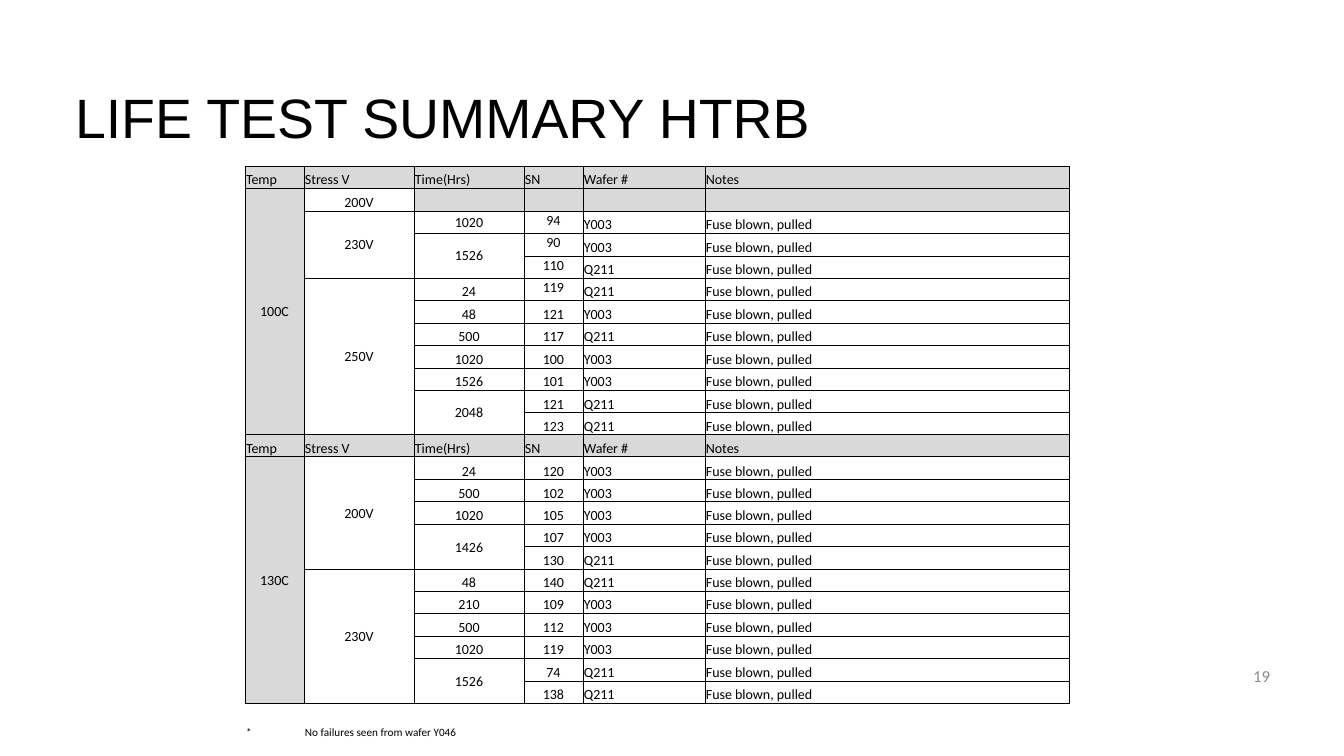
from lxml.etree import SubElement
from pptx import Presentation
from pptx.dml.color import RGBColor
from pptx.enum.text import MSO_ANCHOR as ANCHOR, PP_ALIGN as ALIGN
from pptx.oxml.ns import qn
from pptx.util import Inches, Pt

TITLE = "LIFE TEST SUMMARY HTRB"
PAGE = "19"
HEADINGS = ["Temp", "Stress V", "Time(Hrs)", "SN", "Wafer #", "Notes"]
NOTE = "Fuse blown, pulled"
FOOTNOTE = ("*", "No failures seen from wafer Y046")
TESTS = [
    ("100C", [
        ("200V", [("", [("", "")])]),
        ("230V", [("1020", [("94", "Y003")]),
                  ("1526", [("90", "Y003"), ("110", "Q211")])]),
        ("250V", [("24", [("119", "Q211")]),
                  ("48", [("121", "Y003")]),
                  ("500", [("117", "Q211")]),
                  ("1020", [("100", "Y003")]),
                  ("1526", [("101", "Y003")]),
                  ("2048", [("121", "Q211"), ("123", "Q211")])]),
    ]),
    ("130C", [
        ("200V", [("24", [("120", "Y003")]),
                  ("500", [("102", "Y003")]),
                  ("1020", [("105", "Y003")]),
                  ("1426", [("107", "Y003"), ("130", "Q211")])]),
        ("230V", [("48", [("140", "Q211")]),
                  ("210", [("109", "Y003")]),
                  ("500", [("112", "Y003")]),
                  ("1020", [("119", "Y003")]),
                  ("1526", [("74", "Q211"), ("138", "Q211")])]),
    ]),
]
ANCHORS = {(2, 2): ANCHOR.MIDDLE, (2, 3): ANCHOR.TOP, (3, 3): ANCHOR.TOP,
           (4, 3): ANCHOR.TOP, (5, 3): ANCHOR.TOP}
COLS = [59, 110, 110, 59, 122, 364]
LEFT, TOP, GRID_H, GRID_ROWS = 245, 166, 538, 24
FOOT_H, FOOT_ROWS = 18, 2
BLACK, GREY, PAGE_GREY = "000000", "D9D9D9", "8C8C8C"


def px(n):
    return round(Inches(1) * n / 100.8)


def rgb(h):
    return RGBColor.from_string(h)


def style(p, size, face, color):
    for r in p.runs:
        r.font.size = Pt(size)
        r.font.name = face
        r.font.color.rgb = rgb(color)


def border(cell, sides):
    tcPr = cell._tc.get_or_add_tcPr()
    for side in "LRTB":
        ln = SubElement(tcPr, qn("a:ln" + side), w=str(Pt(0.5)))
        if side in sides:
            SubElement(SubElement(ln, qn("a:solidFill")), qn("a:srgbClr"), val=BLACK)
        else:
            SubElement(ln, qn("a:noFill"))


def put(row, col, text, align=ALIGN.LEFT, rows=1, cols=1):
    cell = table.cell(row, col)
    if rows * cols > 1:
        cell.merge(table.cell(row + rows - 1, col + cols - 1))
    anchor = ANCHOR.MIDDLE if rows > 1 else ANCHOR.BOTTOM
    cell.vertical_anchor = ANCHORS.get((row, col), anchor)
    p = cell.text_frame.paragraphs[0]
    p.text = text
    p.alignment = align
    style(p, 10 if row < GRID_ROWS else 8, "Calibri", BLACK)


def shade(row, col):
    cell = table.cell(row, col)
    cell.fill.solid()
    cell.fill.fore_color.rgb = rgb(GREY)


def put_headings(row):
    for col, text in enumerate(HEADINGS):
        put(row, col, text)
        shade(row, col)


def put_test(row, temp, stresses):
    first = row
    for stress, times in stresses:
        stress_row = row
        for time, failures in times:
            time_row = row
            for sn, wafer in failures:
                if sn:
                    put(row, 3, sn, ALIGN.CENTER)
                    put(row, 4, wafer)
                    put(row, 5, NOTE)
                else:
                    for col in range(2, len(COLS)):
                        shade(row, col)
                row += 1
            if time:
                put(time_row, 2, time, ALIGN.CENTER, row - time_row)
        put(stress_row, 1, stress, ALIGN.CENTER, row - stress_row)
    put(first, 0, temp, ALIGN.CENTER, row - first)
    shade(first, 0)
    return row


prs = Presentation()
prs.slide_width, prs.slide_height = px(1344), px(756)
s = prs.slides.add_slide(prs.slide_layouts[5])

title = s.shapes.title
title.left, title.top, title.width, title.height = map(px, (65, 95, 1215, 52))
tf = title.text_frame
tf.text = TITLE
tf.vertical_anchor = ANCHOR.MIDDLE
p = tf.paragraphs[0]
p.alignment = ALIGN.LEFT
p.line_spacing = 0.9
style(p, 39.6, "Arial", BLACK)

tf = s.shapes.add_textbox(*map(px, (1164, 656, 116, 40))).text_frame
tf.word_wrap = True
tf.text = PAGE
tf.vertical_anchor = ANCHOR.MIDDLE
tf.paragraphs[0].alignment = ALIGN.RIGHT
style(tf.paragraphs[0], 12, "Calibri", PAGE_GREY)

edges = [round(GRID_H * i / GRID_ROWS) for i in range(GRID_ROWS + 1)]
heights = [b - a for a, b in zip(edges, edges[1:])] + [FOOT_H] * FOOT_ROWS
table = s.shapes.add_table(len(heights), len(COLS), px(LEFT), px(TOP),
                           px(sum(COLS)), px(sum(heights))).table
table.first_row = table.horz_banding = False
for column, width in zip(table.columns, COLS):
    column.width = px(width)
for i, (row, height) in enumerate(zip(table.rows, heights)):
    row.height = px(height)
    for cell in row.cells:
        cell.margin_left = cell.margin_right = cell.margin_top = px(1)
        cell.margin_bottom = 0
        border(cell, "LRTB" if i < GRID_ROWS else "T" if i == GRID_ROWS else "")
        cell.fill.background()
        SubElement(cell.text_frame.paragraphs[0]._p, qn("a:endParaRPr"), sz="800")

row = 0
for temp, stresses in TESTS:
    put_headings(row)
    row = put_test(row + 1, temp, stresses)
put(row + 1, 0, FOOTNOTE[0])
put(row + 1, 1, FOOTNOTE[1], cols=2)

prs.save("out.pptx")
